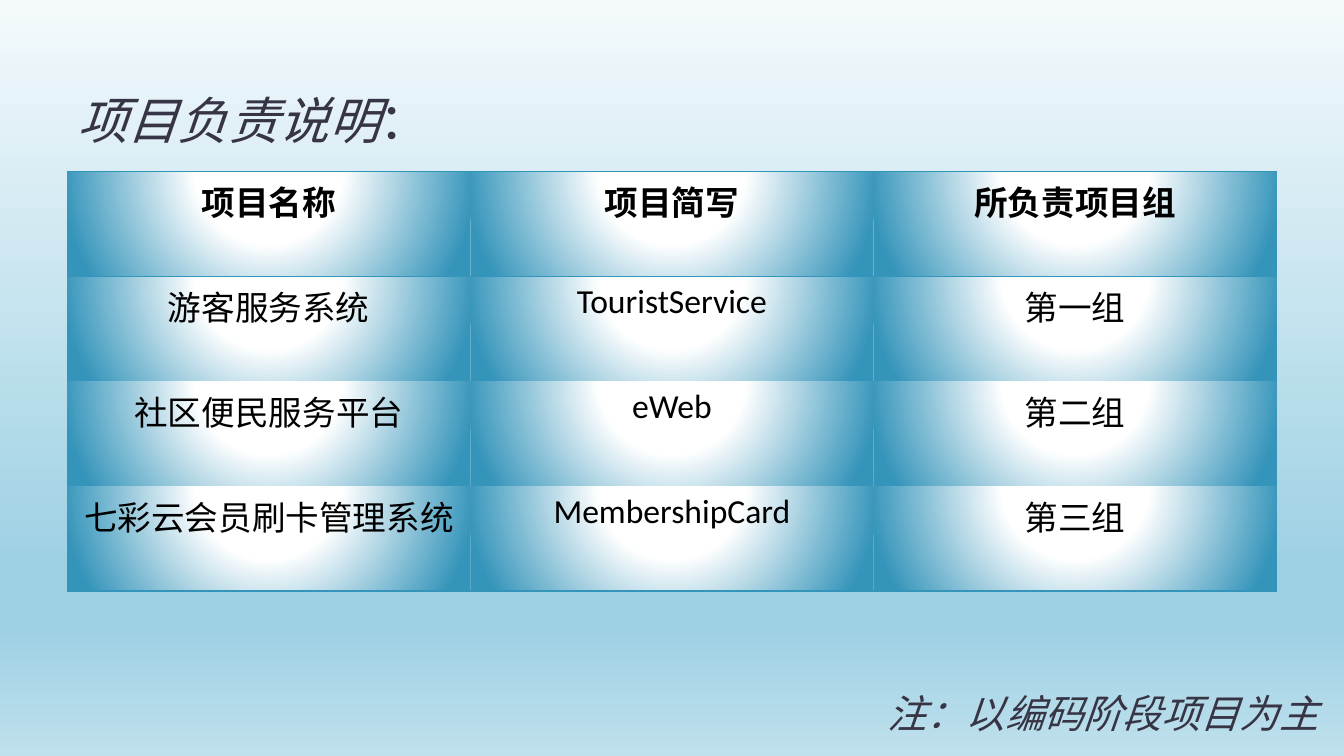
from dataclasses import dataclass

import pptx
import pptx.dml.color
import pptx.enum.lang
import pptx.enum.text
import pptx.oxml
import pptx.oxml.ns
import pptx.util

PX = 9525
CJK = "Noto Sans CJK SC"
INK = "373545"
BLACK = "000000"
BLUE = "3494BA"
NO_STYLE = "{2D5ABB26-0587-4C30-8999-92F81FD0307C}"
LINEAR = '<a:lin ang="5400000" scaled="0"/>'
CIRCLE = ('<a:path path="circle"><a:fillToRect l="50000" t="-80000" '
          'r="50000" b="180000"/></a:path>')
SKY = [(0, "F4FAFC"), (74, "9FD1E4"), (83, "9FD1E4"), (100, "BFE0ED")]
GLOW = [(0, "FFFFFF"), (35, "FFFFFF"), (100, BLUE)]
ROWS = [
    ("项目名称", "项目简写", "所负责项目组"),
    ("游客服务系统", "TouristService", "第一组"),
    ("社区便民服务平台", "eWeb", "第二组"),
    ("七彩云会员刷卡管理系统", "MembershipCard", "第三组"),
]


@dataclass
class Run:
    text: str
    size: int
    color: str = INK
    font: str = CJK
    bold: bool = False
    italic: bool = False


@dataclass
class Label:
    left: int
    top: int
    width: int
    height: int
    runs: list[Run]


LABELS = [
    Label(64, 35, 1152, 112,
          [Run("项目负责说明", 36, italic=True), Run("：", 36)]),
    Label(836, 594, 444, 112,
          [Run("注：以编码阶段项目为主", 28, italic=True)]),
]


def px(n: int) -> int:
    return pptx.util.Emu(n * PX)


def rgb(color: str) -> pptx.dml.color.RGBColor:
    return pptx.dml.color.RGBColor.from_string(color)


def element(xml: str):
    ns = pptx.oxml.ns.nsdecls("a")
    return pptx.oxml.parse_xml(xml.replace(">", f" {ns}>", 1))


def gradient(stops: list[tuple[int, str]], shading: str):
    marks = "".join(
        f'<a:gs pos="{pos * 1000}"><a:srgbClr val="{color}"/></a:gs>'
        for pos, color in stops)
    return element(f"<a:gradFill><a:gsLst>{marks}</a:gsLst>{shading}</a:gradFill>")


def border(side: str):
    return element(f'<a:ln{side} w="12700"><a:solidFill><a:srgbClr val="{BLUE}"/>'
                   f"</a:solidFill></a:ln{side}>")


def add_run(p, run: Run) -> None:
    r = p.add_run()
    r.text = run.text
    r.font.size = pptx.util.Pt(run.size)
    r.font.name = run.font
    r.font.bold = run.bold
    r.font.italic = run.italic
    r.font.color.rgb = rgb(run.color)
    r.font.language_id = pptx.enum.lang.MSO_LANGUAGE_ID.SIMPLIFIED_CHINESE
    latin = r.font._element.find(pptx.oxml.ns.qn("a:latin"))
    latin.addnext(element(f'<a:ea typeface="{CJK}"></a:ea>'))


def add_label(s, label: Label) -> None:
    sp = s.shapes.add_textbox(px(label.left), px(label.top),
                              px(label.width), px(label.height))
    tf = sp.text_frame
    tf.word_wrap = True
    tf.vertical_anchor = pptx.enum.text.MSO_ANCHOR.BOTTOM
    for run in label.runs:
        add_run(tf.paragraphs[0], run)


def add_projects(s) -> None:
    sp = s.shapes.add_table(len(ROWS), len(ROWS[0]),
                            px(64), px(163), px(1152), px(400))
    table = sp.table
    table.horz_banding = False
    table._tbl.tblPr.find(pptx.oxml.ns.qn("a:tableStyleId")).text = NO_STYLE
    edges = {0: "TB", len(ROWS) - 1: "B"}
    for i, row in enumerate(ROWS):
        for j, text in enumerate(row):
            cell = table.cell(i, j)
            p = cell.text_frame.paragraphs[0]
            p.alignment = pptx.enum.text.PP_ALIGN.CENTER
            add_run(p, Run(text, 24, BLACK, "Calibri", bold=i == 0))
            tcPr = cell._tc.get_or_add_tcPr()
            for side in edges.get(i, ""):
                tcPr.append(border(side))
            tcPr.append(gradient(GLOW, CIRCLE))


def main() -> None:
    prs = pptx.Presentation()
    prs.slide_width = px(1280)
    prs.slide_height = px(720)
    s = prs.slides.add_slide(prs.slide_layouts[6])
    s.background.fill.solid()
    bgPr = s.element.find(".//" + pptx.oxml.ns.qn("p:bgPr"))
    bgPr.replace(bgPr[0], gradient(SKY, LINEAR))
    add_projects(s)
    for label in LABELS:
        add_label(s, label)
    prs.save("out.pptx")


if __name__ == "__main__":
    main()
